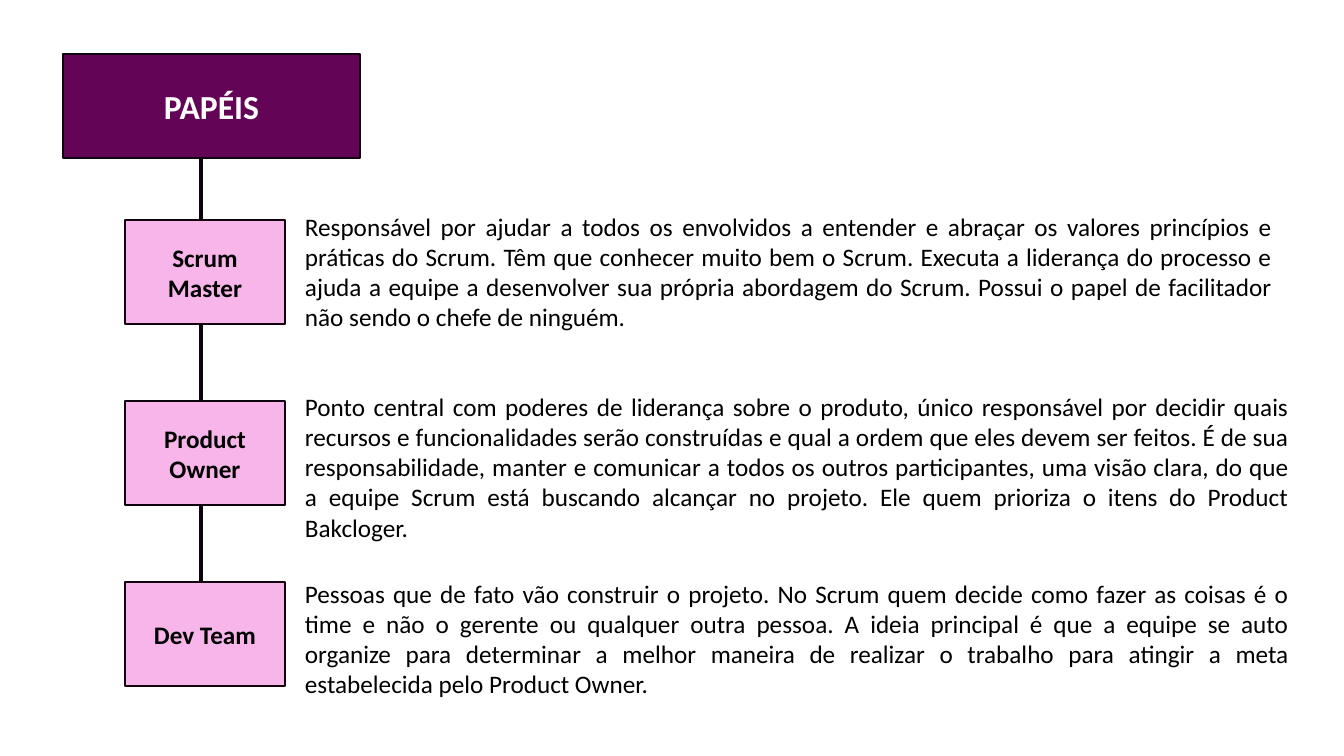
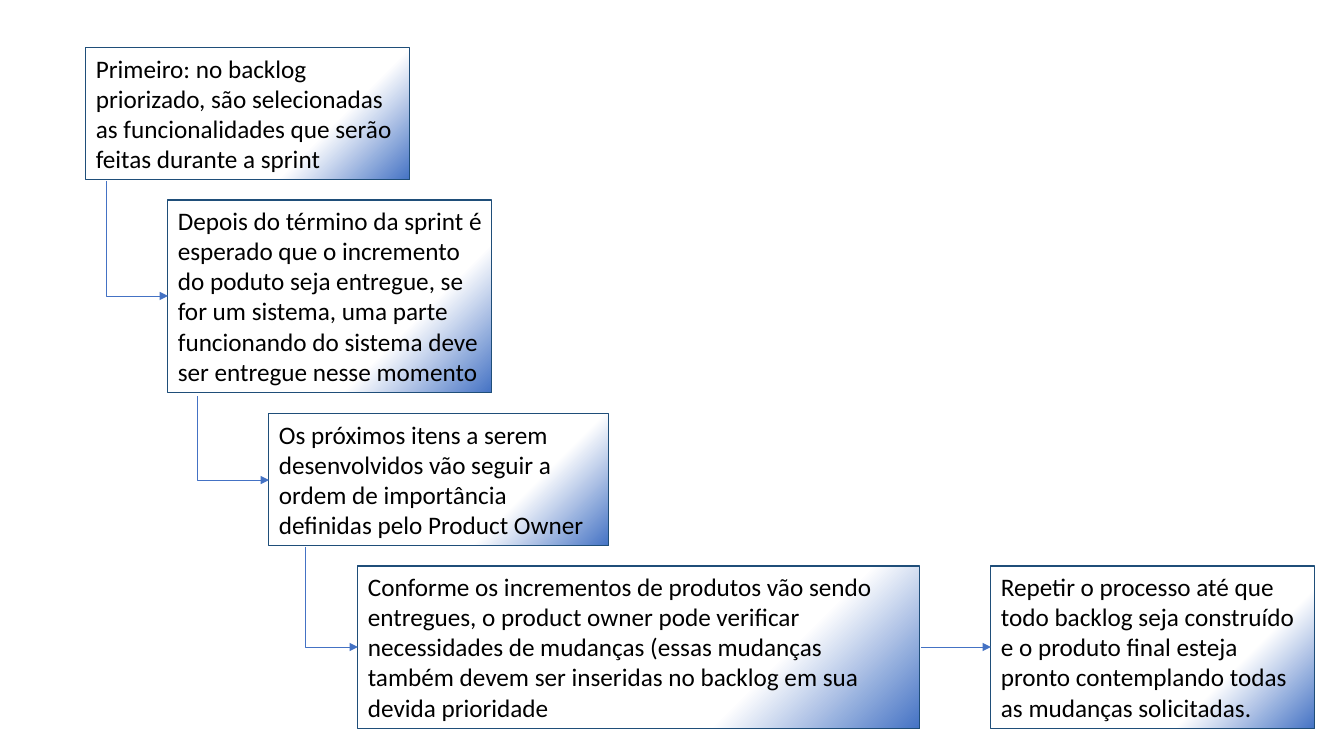
from pptx import Presentation
from pptx.dml.color import RGBColor
from pptx.enum.shapes import MSO_CONNECTOR as LINK, MSO_SHAPE as SHAPE
from pptx.enum.text import MSO_ANCHOR as ANCHOR, MSO_AUTO_SIZE as FIT, PP_ALIGN as ALIGN
from pptx.oxml import parse_xml
from pptx.oxml.ns import nsdecls, qn
from pptx.util import Pt
from lxml.etree import SubElement

PX = 914400 / 100.8
FONT = "Calibri"
BLACK, WHITE = "000000", "FFFFFF"
INK, PLUM, PINK = "0F010D", "640456", "F7B5EA"
NAVY, BLUE = "1F4E79", "4472C4"
GRAD = f"""<a:gradFill {nsdecls("a")} rotWithShape="1"><a:gsLst>
<a:gs pos="0"><a:srgbClr val="{WHITE}"/></a:gs>
<a:gs pos="71000"><a:srgbClr val="{WHITE}"/></a:gs>
<a:gs pos="100000"><a:srgbClr val="{BLUE}"/></a:gs></a:gsLst>
<a:path path="circle"><a:fillToRect r="100000" b="100000"/></a:path></a:gradFill>"""


def px(*nums):
    return [round(n * PX) for n in nums]


def rgb(code):
    return RGBColor.from_string(code)


prs = Presentation()
prs.slide_width, prs.slide_height = px(1344, 756)


def write(shape, text, align=ALIGN.LEFT, anchor=ANCHOR.TOP, size=18, color=BLACK, bold=False):
    frame = shape.text_frame
    frame.text = text
    frame.word_wrap = True
    frame.vertical_anchor = anchor
    para = frame.paragraphs[0]
    para.alignment = align
    font = para.runs[0].font
    font.name, font.size, font.bold = FONT, Pt(size), bold
    font.color.rgb = rgb(color)


def draw(slide, kind, ends, color, width, arrow=False):
    """Add a connector without shadow; ends is x1, y1, x2, y2 in px."""
    link = slide.shapes.add_connector(kind, *px(*ends))
    link.line.color.rgb = rgb(color)
    link.line.width = Pt(width)
    if arrow:
        SubElement(link.line._get_or_add_ln(), qn("a:tailEnd"), type="triangle")
    SubElement(link._element.spPr, qn("a:effectLst"))
    return link


# Slide 1: roles
slide = prs.slides.add_slide(prs.slide_layouts[5])
title = slide.shapes.title
title.left, title.top, title.width, title.height = px(63, 54, 297, 104)
title._element.spPr.append(parse_xml(
    f'<a:prstGeom {nsdecls("a")} prst="roundRect"><a:avLst/></a:prstGeom>'))
title.fill.solid()
title.fill.fore_color.rgb = rgb(PLUM)
title.line.color.rgb = rgb(INK)
title.line.width = Pt(1)
write(title, "PAPÉIS", ALIGN.CENTER, ANCHOR.MIDDLE, 24, WHITE, True)

draw(slide, LINK.STRAIGHT, (201, 158, 201, 583), INK, 3)

roles = [
    ("Scrum Master", (295, 206, 987, 132),
     "Responsável por ajudar a todos os envolvidos a entender e abraçar os valores princípios e "
     "práticas do Scrum. Têm que conhecer muito bem o Scrum. Executa a liderança do processo e "
     "ajuda a equipe a desenvolver sua própria abordagem do Scrum. Possui o papel de facilitador "
     "não sendo o chefe de ninguém."),
    ("Product Owner", (295, 386, 1004, 163),
     "Ponto central com poderes de liderança sobre o produto, único responsável por decidir quais "
     "recursos e funcionalidades serão construídas e qual a ordem que eles devem ser feitos. É de "
     "sua responsabilidade, manter e comunicar a todos os outros participantes, uma visão clara, "
     "do que a equipe Scrum está buscando alcançar no projeto. Ele quem prioriza o itens do "
     "Product Bakcloger."),
    ("Dev Team", (295, 573, 1004, 132),
     "Pessoas que de fato vão construir o projeto. No Scrum quem decide como fazer as coisas é o "
     "time e não o gerente ou qualquer outra pessoa. A ideia principal é que a equipe se auto "
     "organize para determinar a melhor maneira de realizar o trabalho para atingir a meta "
     "estabelecida pelo Product Owner."),
]
for i, (name, area, text) in enumerate(roles):
    role = slide.shapes.add_shape(SHAPE.RECTANGLE, *px(125, 220 + 181 * i, 160, 104))
    role.shadow.inherit = False
    role.fill.solid()
    role.fill.fore_color.rgb = rgb(PINK)
    role.line.color.rgb = rgb(INK)
    role.line.width = Pt(1)
    write(role, name, ALIGN.CENTER, ANCHOR.MIDDLE, bold=True)
    note = slide.shapes.add_textbox(*px(*area))
    write(note, text, ALIGN.JUSTIFY)
    note.text_frame.auto_size = FIT.SHAPE_TO_FIT_TEXT

# Slide 2: sprint steps, each with the point where its arrow starts
slide = prs.slides.add_slide(prs.slide_layouts[6])
steps = [
    ((86, 48, 324, 132), None,
     "Primeiro: no backlog priorizado, são selecionadas as funcionalidades que serão feitas "
     "durante a sprint"),
    ((168, 200, 324, 193), (106, 181),
     "Depois do término da sprint é esperado que o incremento do poduto seja entregue, se for um "
     "sistema, uma parte funcionando do sistema deve ser entregue nesse momento"),
    ((269, 414, 340, 132), (197, 396),
     "Os próximos itens a serem desenvolvidos vão seguir a ordem de importância definidas pelo "
     "Product Owner"),
    ((358, 566, 562, 163), (305, 547),
     "Conforme os incrementos de produtos vão sendo entregues, o product owner pode verificar "
     "necessidades de mudanças (essas mudanças também devem ser inseridas no backlog em sua "
     "devida prioridade"),
    ((991, 566, 324, 163), (921, 647),
     "Repetir o processo até que todo backlog seja construído e o produto final esteja pronto "
     "contemplando todas as mudanças solicitadas."),
]
for area, start, text in steps:
    step = slide.shapes.add_shape(SHAPE.RECTANGLE, *px(*area))
    step.shadow.inherit = False
    step.fill.background()
    props = step._element.spPr
    props.replace(props.find(qn("a:noFill")), parse_xml(GRAD))
    step.line.color.rgb = rgb(NAVY)
    step.line.width = Pt(0.75)
    write(step, text)
    step.text_frame.auto_size = FIT.SHAPE_TO_FIT_TEXT

for area, start, text in steps[1:]:
    x, y = start
    left, mid = area[0], area[1] + area[3] // 2
    wide, tall = left - x, mid - y
    if not tall:
        draw(slide, LINK.STRAIGHT, (x, y, left, mid), BLUE, 0.5, True)
        continue
    # The elbow is laid on its side, then turned to run down and right
    x1, y1 = (x + left - tall) / 2, (y + mid - wide) / 2
    elbow = draw(slide, LINK.ELBOW, (x1, y1, x1 + tall, y1 + wide), BLUE, 0.5, True)
    props = elbow._element.spPr
    props.find(qn("a:prstGeom")).set("prst", "bentConnector2")
    turn = props.find(qn("a:xfrm"))
    turn.set("rot", "16200000")
    turn.set("flipH", "1")

prs.save("out.pptx")
